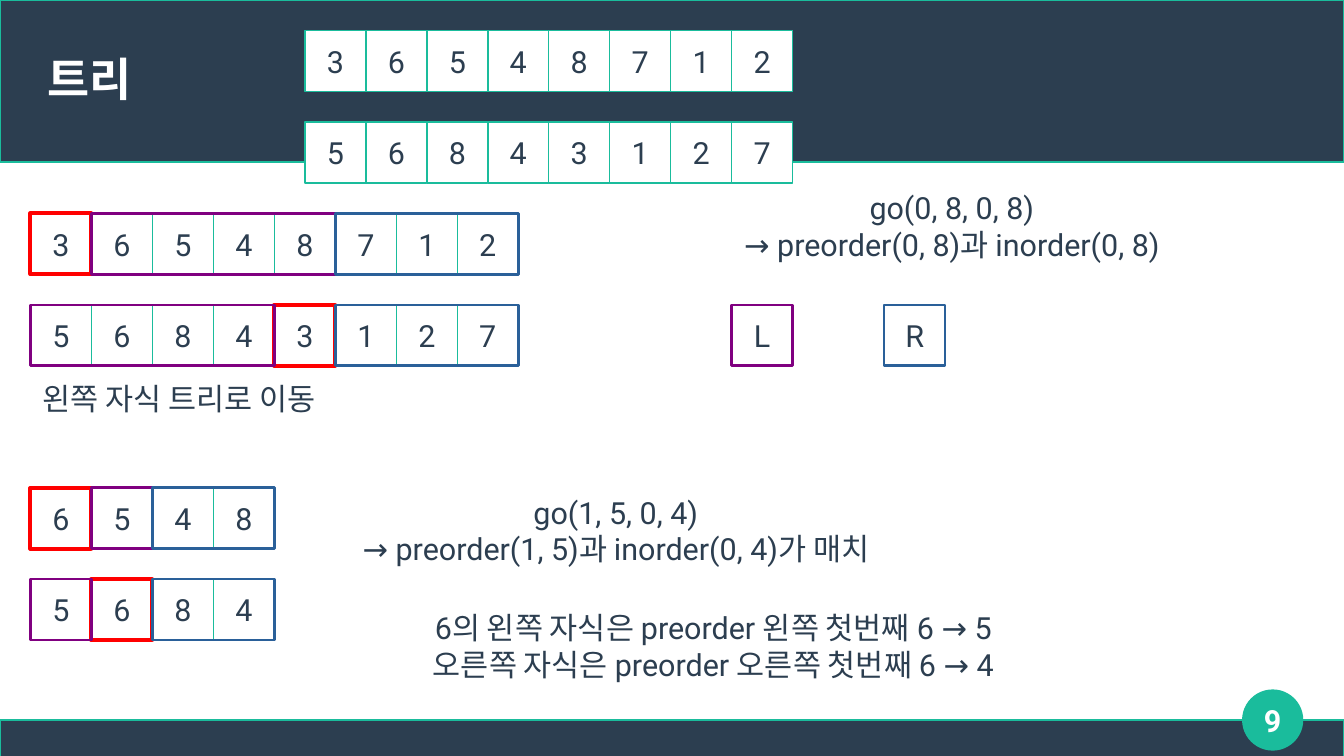
from pptx import Presentation
from pptx.dml.color import RGBColor
from pptx.enum.shapes import MSO_SHAPE
from pptx.enum.text import MSO_ANCHOR, PP_ALIGN
from pptx.util import Inches, Pt

RECT, OVAL = MSO_SHAPE.RECTANGLE, MSO_SHAPE.OVAL
MIDDLE = MSO_ANCHOR.MIDDLE
LEFT, CENTER = PP_ALIGN.LEFT, PP_ALIGN.CENTER

WIDTH, HEIGHT = 11.02, 6.2
UNIT = 0.5  # side of one grid square, in inches
COLORS = {
    "navy": "2C3E50",
    "teal": "1ABC9C",
    "white": "FFFFFF",
    "red": "FF0000",
    "purple": "800080",
    "blue": "2A6099",
}


class TreeSlide:
    """Places elements on a grid of squares, by column and row."""

    font = "Roboto"
    size = 18

    def __init__(self, prs):
        self.s = prs.slides.add_slide(prs.slide_layouts[5])

    def color(self, name):
        return RGBColor.from_string(COLORS[name])

    def grid(self, *lengths):
        return [Inches(n * UNIT) for n in lengths]

    def label(self, sp, text, color="navy", size=size, bold=False, align=CENTER, wrap=False):
        tf = sp.text_frame
        tf.text = text
        tf.word_wrap = wrap
        tf.vertical_anchor = MIDDLE
        for p in tf.paragraphs:
            p.alignment = align
            for r in p.runs:
                r.font.name = self.font
                r.font.size = Pt(size)
                r.font.bold = bold
                r.font.color.rgb = self.color(color)

    def no_insets(self, tf):
        tf.margin_left = tf.margin_right = tf.margin_top = tf.margin_bottom = 0

    def shape(self, col, row, cols=1, rows=1, fill=None, line="teal", weight=0.85, kind=RECT):
        sp = self.s.shapes.add_shape(kind, *self.grid(col, row, cols, rows))
        sp.shadow.inherit = False
        if fill:
            sp.fill.solid()
            sp.fill.fore_color.rgb = self.color(fill)
        else:
            sp.fill.background()
        sp.line.color.rgb = self.color(line)
        sp.line.width = Pt(weight)
        return sp

    def title(self, text, col, row, cols, rows):
        sp = self.s.shapes.title
        sp.left, sp.top, sp.width, sp.height = self.grid(col, row, cols, rows)
        self.no_insets(sp.text_frame)
        self.label(sp, text, "white", 27, True, LEFT, True)
        sp.element.getparent().append(sp.element)  # in front of the header bar

    def page_number(self, text, col, row, side):
        sp = self.shape(col, row, side, side, "teal", kind=OVAL)
        self.no_insets(sp.text_frame)
        self.label(sp, text, "white", bold=True)

    def array(self, values, col, row):
        for i, value in enumerate(values):
            self.label(self.shape(col + i, row, fill="white"), value)

    def frame(self, color, col, row, cols=1):
        return self.shape(col, row, cols, line=color, weight=2.3 if color == "red" else 1.5)

    def key(self, text, color, col, row):
        self.label(self.frame(color, col, row), text)

    def note(self, text, col, row, cols, rows):
        sp = self.s.shapes.add_textbox(*self.grid(col, row, cols, rows))
        self.label(sp, text)


def main():
    prs = Presentation()
    prs.slide_width, prs.slide_height = Inches(WIDTH), Inches(HEIGHT)
    t = TreeSlide(prs)
    full = WIDTH / UNIT

    # Header, footer and page number
    t.shape(0, 0, full, 2.66, "navy")
    t.shape(0, 11.81, full, 0.6, "navy")
    t.title("트리", 0.78, 0.5, 20.48, 1.58)
    t.page_number("9", 20.38, 11.32, 0.98)

    # Preorder and inorder arrays: whole tree twice, then the left subtree
    for values, col, row in [
        ("36548712", 0.5, 3.5),
        ("56843127", 0.5, 5),
        ("6548", 0.5, 8),
        ("5684", 0.5, 9.5),
        ("36548712", 5, 0.5),
        ("56843127", 5, 2),
    ]:
        t.array(values, col, row)

    # Root, left part and right part of each array
    for color, col, row, cols in [
        ("red", 0.5, 3.5, 1),
        ("red", 4.5, 5, 1),
        ("purple", 0.5, 5, 4),
        ("blue", 5.5, 5, 3),
        ("purple", 1.5, 3.5, 4),
        ("blue", 5.5, 3.5, 3),
        ("red", 0.5, 8, 1),
        ("red", 1.5, 9.5, 1),
        ("purple", 0.5, 9.5, 1),
        ("blue", 2.5, 9.5, 2),
        ("purple", 1.5, 8, 1),
        ("blue", 2.5, 8, 2),
    ]:
        t.frame(color, col, row, cols)

    # Colour key
    t.key("L", "purple", 12, 5)
    t.key("R", "blue", 14.5, 5)

    # Explanations
    t.note("go(0, 8, 0, 8)\n→ preorder(0, 8)과 inorder(0, 8)", 11.5, 2.9, 8.22, 1.6)
    t.note("왼쪽 자식 트리로 이동", 0.5, 6.08, 4.88, 0.92)
    t.note("go(1, 5, 0, 4)\n→ preorder(1, 5)과 inorder(0, 4)가 매치", 5.2, 7.9, 9.8, 1.6)
    t.note(
        "6의 왼쪽 자식은 preorder 왼쪽 첫번째 6 → 5\n"
        "오른쪽 자식은 preorder 오른쪽 첫번째 6 → 4",
        6.5, 9.76, 10.4, 1.66,
    )

    prs.save("out.pptx")


if __name__ == "__main__":
    main()
